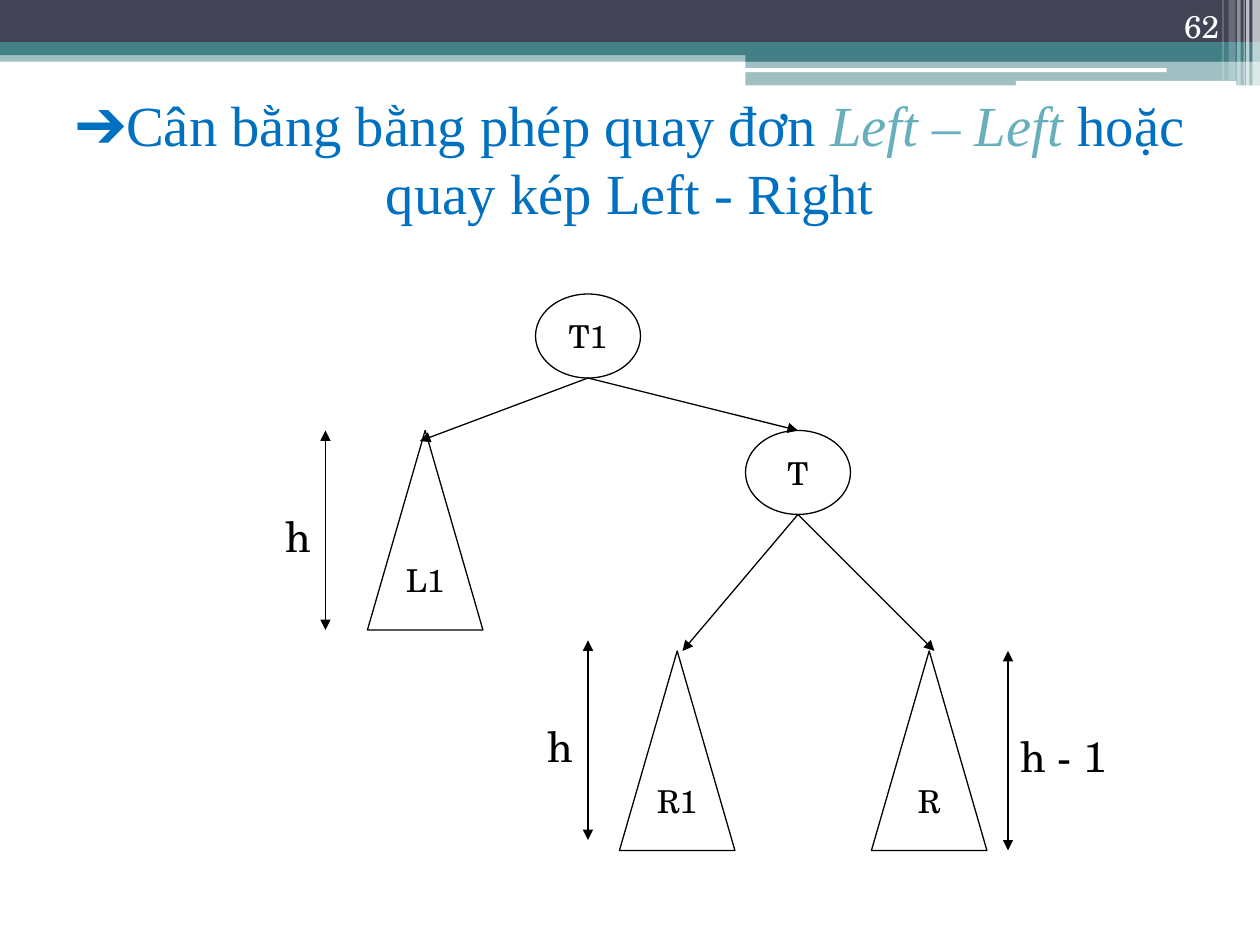
import pptx
import pptx.util
import pptx.dml.color
import pptx.enum.shapes
import pptx.enum.text
import pptx.oxml
import pptx.oxml.ns

Pt = pptx.util.Pt
RGB = pptx.dml.color.RGBColor
KIND = pptx.enum.shapes.MSO_SHAPE
LINK = pptx.enum.shapes.MSO_CONNECTOR
ALIGN = pptx.enum.text.PP_ALIGN
ANCHOR = pptx.enum.text.MSO_ANCHOR
FIT = pptx.enum.text.MSO_AUTO_SIZE

BLACK = RGB(0x00, 0x00, 0x00)
WHITE = RGB(0xFF, 0xFF, 0xFF)
NAVY = RGB(0x42, 0x44, 0x56)
TEAL = RGB(0x43, 0x80, 0x86)
BLUE = RGB(0x00, 0x70, 0xC0)
AQUA = RGB(0x67, 0xAF, 0xBD)


class Deck:
    font = "TeX Gyre Schola"
    head = "Times New Roman"

    def __init__(self, slide):
        self.slide = slide
        self.shapes = slide.shapes

    def run(self, para, text, size, color, font=None, slant=False):
        run = para.add_run()
        run.text = text
        run.font.size = Pt(size)
        run.font.name = font or self.font
        run.font.color.rgb = color
        run.font.italic = slant

    def title(self, x, y, w, h, parts):
        box = self.shapes.title
        box.left, box.top, box.width, box.height = map(Pt, (x, y, w, h))
        frame = box.text_frame
        frame.auto_size = FIT.NONE
        frame.word_wrap = True
        frame.margin_left = frame.margin_right = Pt(3.6)
        frame.vertical_anchor = ANCHOR.MIDDLE
        para = frame.paragraphs[0]
        para.alignment = ALIGN.CENTER
        for text, color, slant in parts:
            self.run(para, text, 32.4, color, self.head, slant)

    def bar(self, x, y, w, h, color, alpha=100, kind=KIND.RECTANGLE):
        bar = self.shapes.add_shape(kind, Pt(x), Pt(y), Pt(w), Pt(h))
        bar.shadow.inherit = False
        bar.line.fill.background()
        bar.fill.solid()
        bar.fill.fore_color.rgb = color
        if alpha < 100:
            tint = bar.fill._xPr.find(".//" + pptx.oxml.ns.qn("a:srgbClr"))
            node = pptx.oxml.parse_xml(
                f'<a:alpha {pptx.oxml.ns.nsdecls("a")} val="{alpha * 1000}"/>')
            tint.append(node)

    def node(self, kind, x, y, w, h, text):
        node = self.shapes.add_shape(kind, Pt(x), Pt(y), Pt(w), Pt(h))
        node.shadow.inherit = False
        node.fill.background()
        node.line.color.rgb = BLACK
        node.line.width = Pt(0.75)
        frame = node.text_frame
        frame.word_wrap = False
        frame.vertical_anchor = ANCHOR.MIDDLE
        para = frame.paragraphs[0]
        para.alignment = ALIGN.CENTER
        self.run(para, text, 18, BLACK)
        return node

    def oval(self, x, y, text):
        return self.node(KIND.OVAL, x, y, 60, 48, text)

    def tree(self, x, y, text):
        return self.node(KIND.ISOSCELES_TRIANGLE, x, y, 66, 114, text)

    def arrow(self, x1, y1, x2, y2, both=False):
        line = self.shapes.add_connector(
            LINK.STRAIGHT, Pt(x1), Pt(y1), Pt(x2), Pt(y2))
        line.line.color.rgb = BLACK
        line.line.width = Pt(0.75)
        ns = pptx.oxml.ns.nsdecls("a")
        ends = ("headEnd", "tailEnd") if both else ("tailEnd",)
        for end in ends:
            line.line._get_or_add_ln().append(
                pptx.oxml.parse_xml(f'<a:{end} {ns} type="triangle"/>'))
        line._element.spPr.append(pptx.oxml.parse_xml(f"<a:effectLst {ns}/>"))
        return line

    def label(self, x, y, w, h, text, size=24, color=BLACK,
              align=ALIGN.LEFT, anchor=ANCHOR.TOP):
        frame = self.shapes.add_textbox(Pt(x), Pt(y), Pt(w), Pt(h)).text_frame
        frame.word_wrap = True
        frame.vertical_anchor = anchor
        para = frame.paragraphs[0]
        para.alignment = align
        self.run(para, text, size, color)


def main():
    show = pptx.Presentation()
    show.slide_width, show.slide_height = Pt(720), Pt(540)
    deck = Deck(show.slides.add_slide(show.slide_layouts[5]))

    # Header bands
    deck.bar(0, 28.8, 720, 6.5, TEAL, 50)
    deck.bar(0, 0, 720, 24.3, NAVY)
    deck.bar(0, 24, 720, 7.5, TEAL)
    deck.bar(426, 28.1, 294, 7.2, TEAL)
    deck.bar(426, 34.8, 294, 14, TEAL, 50)
    for x, y, w, h in ((425.5, 39, 241.2, 2.2), (580.5, 46.2, 126, 2.8)):
        deck.bar(x, y, w, h, WHITE, kind=KIND.ROUNDED_RECTANGLE)

    # Stripes at the right edge
    for x, w, h, alpha in ((715.7, 4.3, 49, 65), (712, 2, 49, 65),
                           (710.6, 0.7, 49, 60), (707, 2, 49, 40),
                           (702, 4, 46, 20), (698.5, 0.7, 46, 30)):
        deck.bar(x, 0, w, h, WHITE, alpha)

    # Title
    deck.title(36, 48, 648, 84, (
        ("➔Cân bằng bằng phép quay đơn ", BLUE, False),
        ("Left – Left", AQUA, True),
        (" hoặc quay kép Left - Right", BLUE, False)))

    # Nodes and subtrees
    deck.oval(306, 168, "T1")
    deck.tree(210, 246, "L1")
    deck.tree(498, 372, "R")
    deck.tree(354, 372, "R1")
    right = deck.oval(426, 246, "T")

    # Edges
    deck.arrow(336, 216, 240, 252)
    deck.arrow(336, 216, 456, 246).end_connect(right, 0)
    for x in (390, 534):
        deck.arrow(456, 294, x, 372)

    # Heights: arrow x and top, then label x, width and text
    for x, y, left, wide, text in ((186, 246, 156, 30, "h"),
                                   (336, 366, 306, 30, "h"),
                                   (576, 372, 576, 66, "h - 1")):
        deck.arrow(x, y, x, y + 114, both=True)
        deck.label(left, y + 42, wide, 36, text)

    # Slide number
    deck.label(643.7, 0, 60, 29, "62", 18, WHITE, ALIGN.RIGHT, ANCHOR.BOTTOM)

    show.save("out.pptx")


if __name__ == "__main__":
    main()
